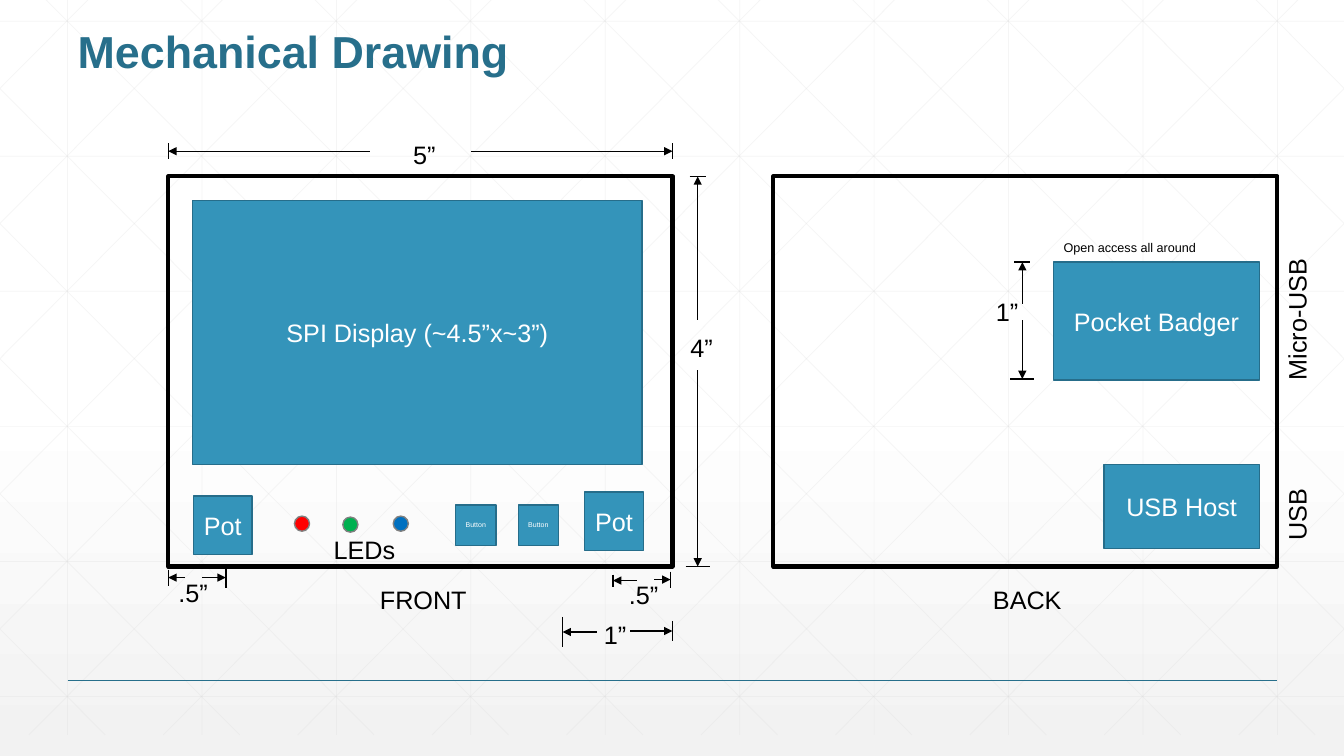
from pptx import Presentation
from pptx import util as u
from pptx.dml.color import RGBColor
from pptx.enum import shapes, text
from pptx.oxml.ns import qn
from lxml import etree
import copy

Inches, Pt = u.Inches, u.Pt
BLACK = RGBColor(0x00, 0x00, 0x00)
WHITE = RGBColor(0xFF, 0xFF, 0xFF)
PALE = RGBColor(0xF2, 0xF2, 0xF2)
GRID = RGBColor(0xD9, 0xD9, 0xD9)
GRAY = RGBColor(0x80, 0x80, 0x80)
TEAL = RGBColor(0x27, 0x6F, 0x8B)
BLUE = RGBColor(0x34, 0x94, 0xBA)
EDGE = RGBColor(0x26, 0x6D, 0x8A)
FONT = "Arial"

WIDTH, HEIGHT = 13.33, 7.5
GRID_TOP, GRID_BOTTOM = -0.21, 7.29
GRID_STEP, GRID_RUN = 4 / 3, 7.46

TITLE = "Mechanical Drawing"
PANELS = [(1.67, 1.75, 5, 3.87), (7.67, 1.75, 5, 3.87)]
PARTS = [
    ("SPI Display (~4.5”x~3”)", 18, 1.91, 1.99, 4.46, 2.62),
    ("Pot", 18, 1.92, 4.92, 0.58, 0.58),
    ("Pot", 18, 5.8, 4.88, 0.58, 0.58),
    ("Button", 5, 4.52, 5.01, 0.4, 0.4),
    ("Button", 5, 5.14, 5.01, 0.4, 0.4),
    ("Pocket Badger", 18, 10.45, 2.6, 2.04, 1.17),
    ("USB Host", 18, 10.95, 4.61, 1.54, 0.83),
]
LEDS = [
    (RGBColor(0xFF, 0x00, 0x00), 2.92, 5.12),
    (RGBColor(0x00, 0xB0, 0x50), 3.4, 5.13),
    (RGBColor(0x00, 0x70, 0xC0), 3.9, 5.12),
]
LED_SIZE = 0.15
LABELS = [
    ("FRONT", 18, 3.67, 5.75, 1.07, 0.4, 0),
    ("BACK", 18, 9.75, 5.75, 0.89, 0.4, 0),
    ("5”", 18, 4, 1.33, 0.43, 0.4, 0),
    ("4”", 18, 6.75, 3.25, 0.43, 0.4, 0),
    (".5”", 18, 1.67, 5.68, 0.5, 0.4, 0),
    (".5”", 18, 6.14, 5.7, 0.5, 0.4, 0),
    ("1”", 18, 5.89, 6.09, 0.43, 0.4, 0),
    ("1”", 18, 9.78, 2.89, 0.43, 0.4, 0),
    ("LEDs", 18, 3.21, 5.25, 0.82, 0.4, 0),
    ("Open access all around", 9, 10.45, 2.33, 1.53, 0.25, 0),
    ("Micro-USB", 18, 12.15, 2.96, 1.42, 0.4, 270),
    ("USB", 18, 12.5, 4.9, 0.72, 0.4, 270),
]
# tip x, tip y, end x, end y, half length of the stop mark
DIMENSIONS = [
    (1.67, 1.5, 3.67, 1.5, 0.08),
    (6.67, 1.5, 4.67, 1.5, 0.08),
    (6.92, 1.75, 6.92, 3.17, 0.08),
    (6.92, 5.62, 6.92, 3.67, 0.12),
    (1.67, 5.73, 1.83, 5.73, 0.08),
    (2.24, 5.73, 2, 5.73, 0.1),
    (6.08, 5.76, 6.32, 5.76, 0.06),
    (6.65, 5.75, 6.49, 5.75, 0.08),
    (5.58, 6.27, 5.92, 6.27, 0.15),
    (6.67, 6.26, 6.25, 6.26, 0.1),
    (10.14, 2.6, 10.14, 3.02, 0.08),
    (10.14, 3.76, 10.14, 3.17, 0.12),
]

deck = Presentation()
deck.slide_width, deck.slide_height = Inches(WIDTH), Inches(HEIGHT)
slide = deck.slides.add_slide(deck.slide_layouts[5])


def add_line(x1, y1, x2, y2, color=BLACK, width=1, alpha=None, arrow=False):
    line = slide.shapes.add_connector(
        shapes.MSO_CONNECTOR.STRAIGHT, Inches(x1), Inches(y1), Inches(x2), Inches(y2))
    line.line.color.rgb = color
    line.line.width = Pt(width)
    props = line._element.spPr
    if alpha:
        tint = props.find(".//" + qn("a:srgbClr"))
        etree.SubElement(tint, qn("a:alpha")).set("val", str(alpha * 1000))
    if arrow:
        etree.SubElement(props.find(qn("a:ln")), qn("a:headEnd")).set("type", "triangle")
    etree.SubElement(props, qn("a:effectLst"))


def add_box(kind, x, y, w, h, fill, outline, width):
    box = slide.shapes.add_shape(kind, Inches(x), Inches(y), Inches(w), Inches(h))
    box.shadow.inherit = False
    if fill is None:
        box.fill.background()
    else:
        box.fill.solid()
        box.fill.fore_color.rgb = fill
    box.line.color.rgb = outline
    box.line.width = Pt(width)
    return box


def write(frame, words, size, color, align, bold=False):
    frame.text = words
    frame.word_wrap = False
    paragraph = frame.paragraphs[0]
    paragraph.alignment = align
    font = paragraph.runs[0].font
    font.name, font.size, font.bold = FONT, Pt(size), bold
    font.color.rgb = color


backdrop = slide.background.fill
backdrop.gradient()
backdrop.gradient_angle = 270
first_stop = backdrop.gradient_stops[0]._gs
first_stop.addnext(copy.deepcopy(first_stop))
for stop, (place, color) in zip(backdrop.gradient_stops, [(0, WHITE), (0.53, WHITE), (1, PALE)]):
    stop.position = place
    stop.color.rgb = color

grid = [(x, GRID_TOP, x, GRID_BOTTOM) for x in (0.67 + GRID_STEP * i for i in range(10))]
grid += [(0, y, WIDTH, y) for y in (0.21 + 1.34 * i for i in range(6))]
slope = (GRID_BOTTOM - GRID_TOP) / GRID_RUN
for i in range(-5, 10):
    start = 0.25 + GRID_STEP * i
    x1, x2 = max(0, start), min(WIDTH, start + GRID_RUN)
    y1, y2 = (GRID_TOP + (x - start) * slope for x in (x1, x2))
    grid += [(x1, y1, x2, y2), (WIDTH - x1, y1, WIDTH - x2, y2)]
for ends in grid:
    add_line(*ends, color=GRID, width=0.5, alpha=25)
add_line(0.67, 6.75, 12.67, 6.75, color=TEAL)

title = slide.shapes.title
title.left, title.top, title.width, title.height = map(Inches, (0.67, 0.25, 12, 1))
write(title.text_frame, TITLE, 32, TEAL, text.PP_ALIGN.LEFT, bold=True)
title.text_frame.word_wrap = True
title.text_frame.vertical_anchor = text.MSO_ANCHOR.TOP
title.text_frame.paragraphs[0].line_spacing = 0.9
slide.shapes._spTree.append(title._element)

for panel in PANELS:
    add_box(shapes.MSO_SHAPE.RECTANGLE, *panel, None, BLACK, 3)

for words, size, *place in PARTS:
    part = add_box(shapes.MSO_SHAPE.RECTANGLE, *place, BLUE, EDGE, 1)
    write(part.text_frame, words, size, WHITE, text.PP_ALIGN.CENTER)
    part.text_frame.vertical_anchor = text.MSO_ANCHOR.MIDDLE

for color, x, y in LEDS:
    add_box(shapes.MSO_SHAPE.OVAL, x, y, LED_SIZE, LED_SIZE, color, GRAY, 1)

for x, y, end_x, end_y, half in DIMENSIONS:
    add_line(x, y, end_x, end_y, arrow=True)
    across, along = (half, 0) if x == end_x else (0, half)
    add_line(x - across, y - along, x + across, y + along)

for words, size, x, y, w, h, turn in LABELS:
    label = slide.shapes.add_textbox(Inches(x), Inches(y), Inches(w), Inches(h))
    label.rotation = turn
    write(label.text_frame, words, size, BLACK, text.PP_ALIGN.LEFT)

deck.save("out.pptx")
